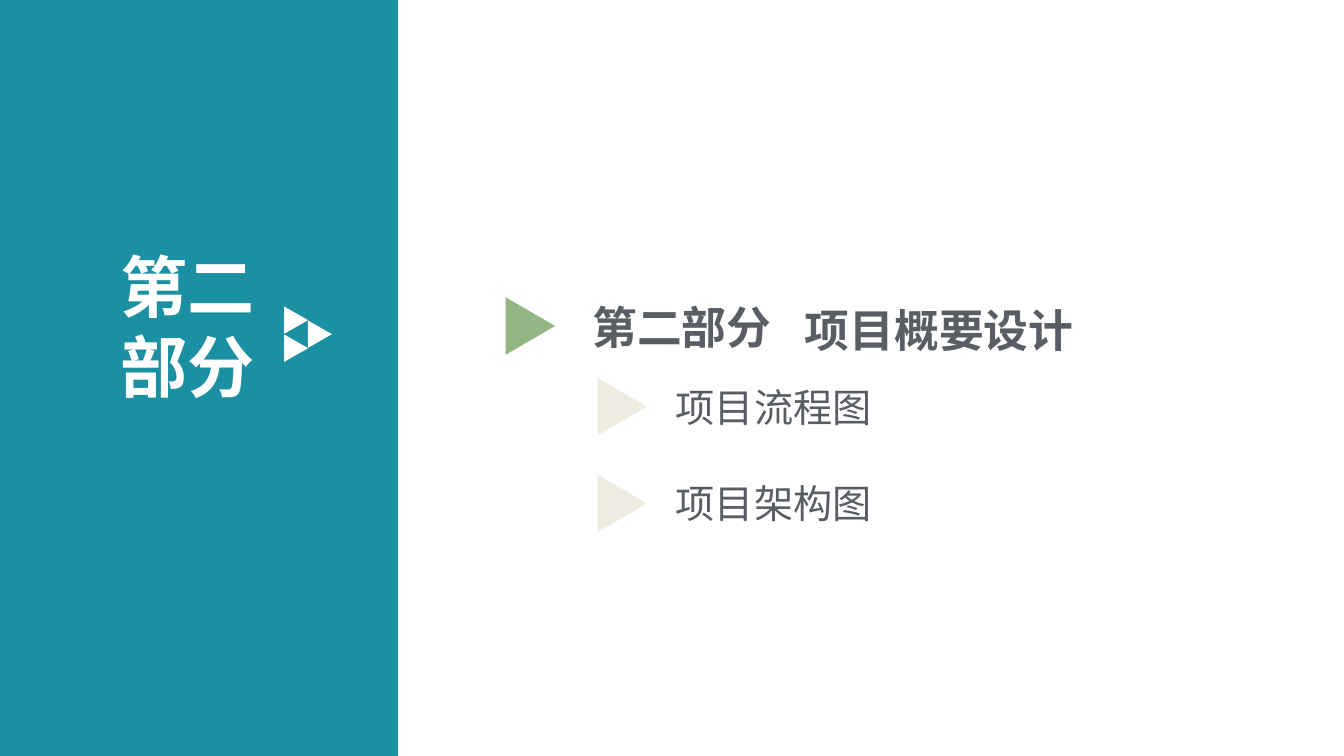
import dataclasses

import pptx
import pptx.dml.color
import pptx.enum.shapes
import pptx.enum.text
import pptx.oxml.ns
import pptx.util
from lxml import etree

Pt = pptx.util.Pt


@dataclasses.dataclass(frozen=True)
class Theme:
    font: str = "Noto Sans CJK SC"
    teal: str = "1B90A2"
    green: str = "93B784"
    beige: str = "EEECE1"
    grey: str = "595E64"
    white: str = "FFFFFF"
    banner_size: int = 48
    heading_size: int = 32
    item_size: int = 28


class SlideBuilder:
    def __init__(self, slide, theme):
        self.slide = slide
        self.theme = theme

    def add_filled(self, kind, left, top, width, height, color):
        shape = self.slide.shapes.add_shape(kind, Pt(left), Pt(top), Pt(width), Pt(height))
        shape.shadow.inherit = False
        shape.fill.solid()
        shape.fill.fore_color.rgb = pptx.dml.color.RGBColor.from_string(color)
        shape.line.fill.background()
        return shape

    def add_panel(self, left, top, width, height, color):
        self.add_filled(pptx.enum.shapes.MSO_SHAPE.RECTANGLE, left, top, width, height, color)

    def add_arrow(self, left, top, width, height, color):
        """Draw a triangle pointing right; the box is the one seen after rotation."""
        shift = (width - height) / 2
        shape = self.add_filled(pptx.enum.shapes.MSO_SHAPE.ISOSCELES_TRIANGLE,
                                left + shift, top - shift, height, width, color)
        shape.rotation = 90

    def add_text(self, text, left, top, width, height, size, color, bold=False):
        box = self.slide.shapes.add_textbox(Pt(left), Pt(top), Pt(width), Pt(height))
        frame = box.text_frame
        frame.word_wrap = True
        frame.auto_size = pptx.enum.text.MSO_AUTO_SIZE.SHAPE_TO_FIT_TEXT
        run = frame.paragraphs[0].add_run()
        run.text = text
        formats = {"name": self.theme.font, "size": Pt(size), "bold": bold}
        for name, value in formats.items():
            setattr(run.font, name, value)
        run.font.color.rgb = pptx.dml.color.RGBColor.from_string(color)
        properties = run._r.get_or_add_rPr()
        east_asian = etree.SubElement(properties, pptx.oxml.ns.qn("a:ea"))
        east_asian.set("typeface", self.theme.font)


def main():
    presentation = pptx.Presentation()
    presentation.slide_width = Pt(960.48)
    presentation.slide_height = Pt(540)
    theme = Theme()
    slide = presentation.slides.add_slide(presentation.slide_layouts[6])
    builder = SlideBuilder(slide, theme)

    builder.add_panel(0, 0, 284.4, 540, theme.teal)
    builder.add_text("第二部分", 79.2, 171.4, 125.3, 122.4,
                     theme.banner_size, theme.white, bold=True)
    for left, top in ((203, 218.9), (203, 238.9), (220, 228.9)):
        builder.add_arrow(left, top, 17.2, 19.6, theme.white)

    builder.add_arrow(361.4, 212.4, 35.3, 41, theme.green)
    for text, left, top, width in (("第二部分", 416.2, 210.2, 151.9),
                                   ("项目概要设计", 568.1, 212.4, 288)):
        builder.add_text(text, left, top, width, 46, theme.heading_size, theme.grey, bold=True)

    for index, text in enumerate(("项目流程图", "项目架构图")):
        top = 270 + index * 69.1
        builder.add_arrow(427, top, 35.3, 41, theme.beige)
        builder.add_text(text, 475.9, top, 288, 41, theme.item_size, theme.grey)

    presentation.save("out.pptx")


if __name__ == "__main__":
    main()
